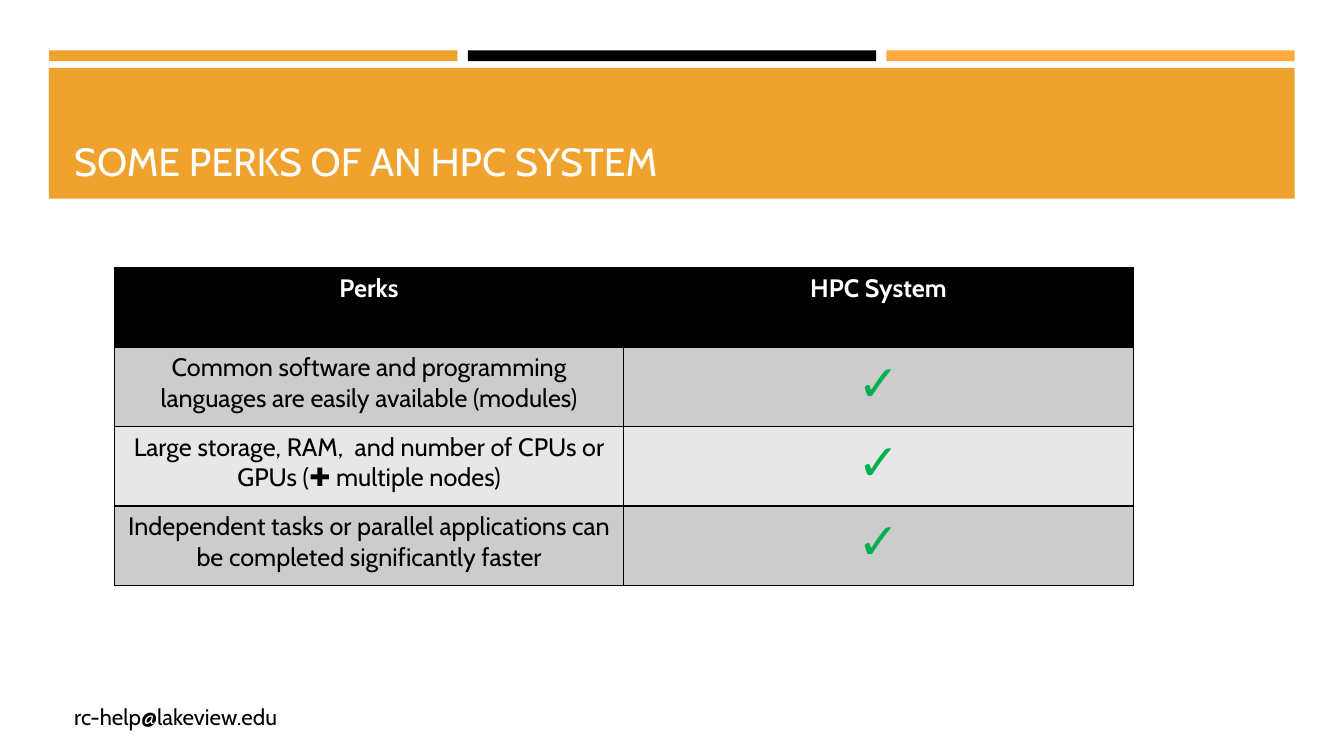
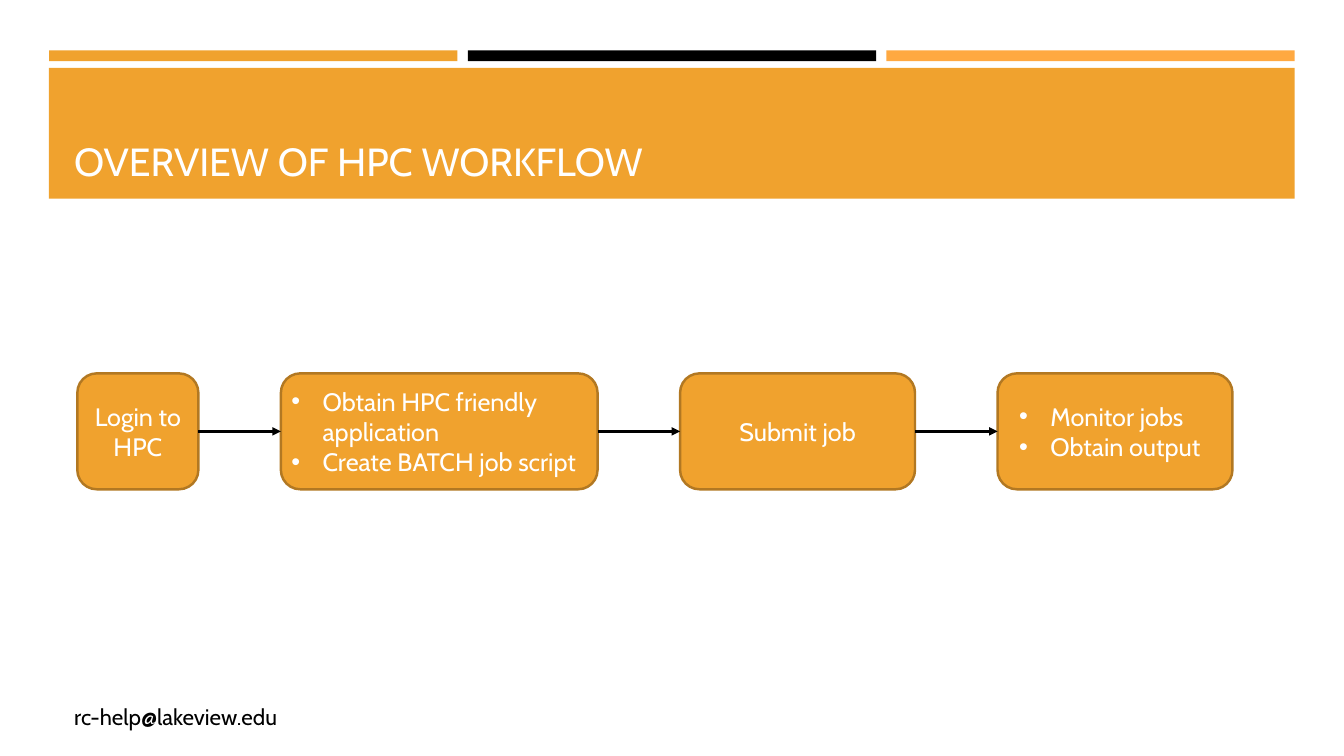
from lxml.etree import SubElement
from pptx import Presentation
from pptx.dml.color import RGBColor
from pptx.enum.shapes import MSO_CONNECTOR as Connector, MSO_SHAPE as Shape
from pptx.enum.text import MSO_ANCHOR as Anchor, PP_ALIGN as Align
from pptx.oxml.ns import qn
from pptx.util import Cm, Pt

COLORS = {
    "orange": "F0A22E", "light orange": "FFA941", "dark orange": "B27822",
    "black": "000000", "white": "FFFFFF", "green": "00B050",
    "gray": "CCCCCC", "light gray": "E7E7E7",
}
FONT = "Cabin"
EMAIL = "rc-help@lakeview.edu"
TITLES = ["SOME PERKS OF AN HPC SYSTEM", "OVERVIEW OF HPC WORKFLOW"]
STRIPES = ["orange", "black", "light orange"]
PERKS = [
    ("Perks", "HPC System"),
    ("Common software and programming languages are easily available (modules)", "✓"),
    ("Large storage, RAM,  and number of CPUs or GPUs (✚ multiple nodes)", "✓"),
    ("Independent tasks or parallel applications can be completed significantly faster", "✓"),
]
STEPS = [
    (3.05, 0.1, ["Login to HPC"]),
    (7.98, 0.12, ["Obtain HPC friendly application", "Create BATCH job script"]),
    (5.92, 0.1, ["Submit job"]),
    (5.92, 0.4, ["Monitor jobs", "Obtain output"]),
]


def rgb(name):
    return RGBColor.from_string(COLORS[name])


def write(paragraph, text, size, color, bold=False, align=Align.LEFT):
    paragraph.text = text
    paragraph.alignment = align
    font = paragraph.font
    font.name, font.size, font.bold = FONT, Pt(size), bold
    font.color.rgb = rgb(color)


prs = Presentation()
prs.slide_width, prs.slide_height = Cm(33.87), Cm(19.05)
slides = []

for title in TITLES:
    slide = prs.slides.add_slide(prs.slide_layouts[6])
    slides.append(slide)
    bands = [(1.24 + i * 10.55, 1.27, 10.29, 0.27, color) for i, color in enumerate(STRIPES)]
    bands.append((1.23, 1.71, 31.4, 3.3, "orange"))
    for left, top, width, height, color in bands:
        band = slide.shapes.add_shape(Shape.RECTANGLE, Cm(left), Cm(top), Cm(width), Cm(height))
        band.shadow.inherit = False
        band.fill.solid()
        band.fill.fore_color.rgb = rgb(color)
        band.line.fill.background()
    for text, top, width, height, size, color, anchor in [
        (title, 1.96, 30.63, 2.82, 28, "white", Anchor.BOTTOM),
        (EMAIL, 17.55, 19.2, 1.02, 16, "black", Anchor.MIDDLE),
    ]:
        frame = slide.shapes.add_textbox(Cm(1.62), Cm(top), Cm(width), Cm(height)).text_frame
        frame.word_wrap = True
        frame.vertical_anchor = anchor
        write(frame.paragraphs[0], text, size, color)

perks_slide, workflow_slide = slides

perks = perks_slide.shapes.add_table(
    len(PERKS), 2, Cm(2.88), Cm(6.75), Cm(25.68), Cm(8)).table
for r, row in enumerate(PERKS):
    for c, text in enumerate(row):
        cell = perks.cell(r, c)
        properties = cell._tc.get_or_add_tcPr()
        for side in ("a:lnL", "a:lnR", "a:lnT", "a:lnB"):
            border = SubElement(properties, qn(side), w=str(Pt(1)))
            border_fill = SubElement(border, qn("a:solidFill"))
            SubElement(border_fill, qn("a:srgbClr"), val=COLORS["black"])
        cell.fill.solid()
        cell.fill.fore_color.rgb = rgb("black" if r == 0 else "gray" if r % 2 else "light gray")
        if r == 0:
            size, color, bold = 18, "white", True
        elif c == 1:
            size, color, bold = 36, "green", True
        else:
            size, color, bold = 18, "black", False
        write(cell.text_frame.paragraphs[0], text, size, color, bold, Align.CENTER)

gap = 2.08
left = 1.95
previous = None
for width, margin, lines in STEPS:
    step = workflow_slide.shapes.add_shape(
        Shape.ROUNDED_RECTANGLE, Cm(left), Cm(9.41), Cm(width), Cm(2.92))
    step.shadow.inherit = False
    step.fill.solid()
    step.fill.fore_color.rgb = rgb("orange")
    step.line.color.rgb = rgb("dark orange")
    step.line.width = Pt(1.75)
    frame = step.text_frame
    frame.word_wrap = True
    frame.vertical_anchor = Anchor.MIDDLE
    frame.margin_left, frame.margin_right = Cm(margin), Cm(0.1)
    bulleted = len(lines) > 1
    for i, text in enumerate(lines):
        paragraph = frame.add_paragraph() if i else frame.paragraphs[0]
        write(paragraph, text, 18, "white", align=Align.LEFT if bulleted else Align.CENTER)
        if bulleted:
            properties = paragraph._p.get_or_add_pPr()
            properties.set("marL", str(Cm(0.79)))
            properties.set("indent", str(-Cm(0.79)))
            bullet_font = properties.makeelement(qn("a:buFont"), {"typeface": "Arial"})
            bullet = properties.makeelement(qn("a:buChar"), {"char": "•"})
            properties.insert(0, bullet_font)
            properties.insert(1, bullet)
    if previous is not None:
        arrow = workflow_slide.shapes.add_connector(Connector.STRAIGHT, 0, 0, 0, 0)
        arrow.begin_connect(previous, 3)
        arrow.end_connect(step, 1)
        arrow.line.color.rgb = rgb("black")
        arrow.line.width = Pt(2)
        SubElement(arrow.line._get_or_add_ln(), qn("a:tailEnd"), type="triangle")
        SubElement(arrow._element.spPr, qn("a:effectLst"))
    previous = step
    left += width + gap

prs.save("out.pptx")
